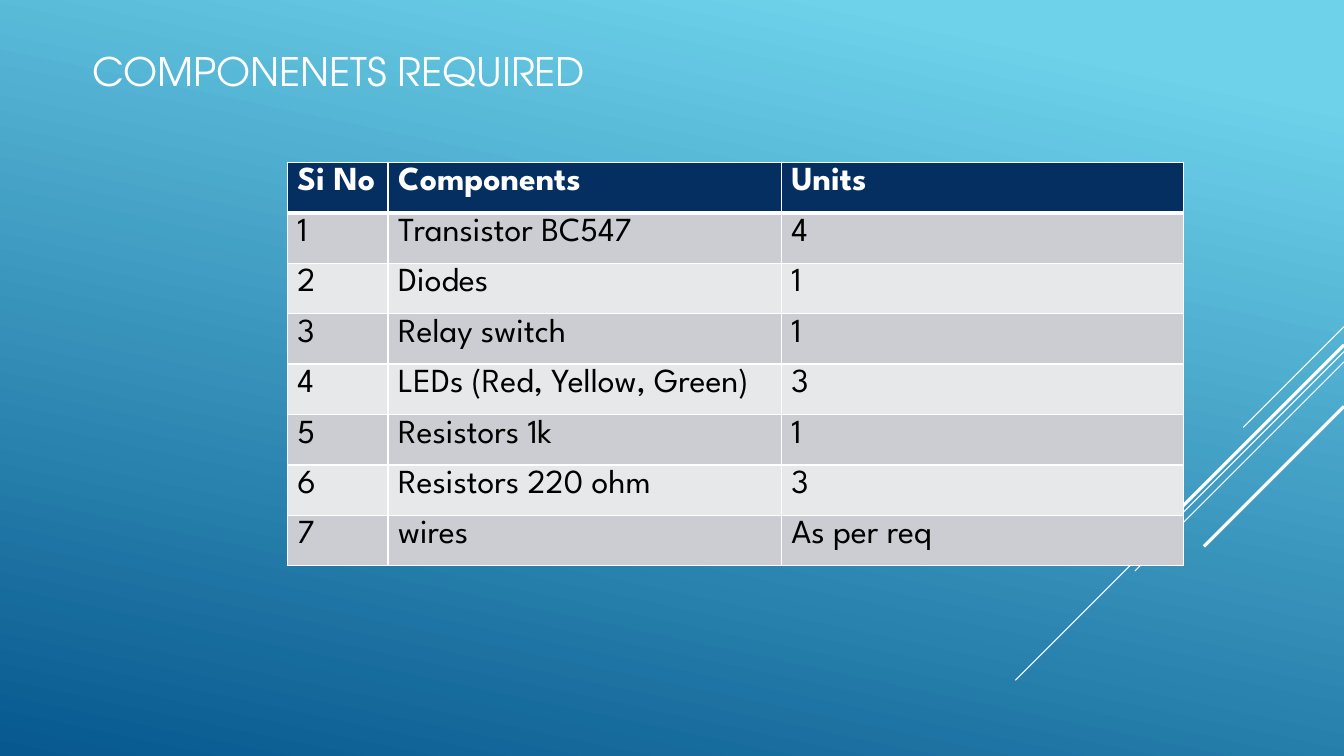
from dataclasses import dataclass

from lxml.etree import SubElement
from pptx import Presentation
from pptx.dml.color import RGBColor
from pptx.enum.text import MSO_ANCHOR, MSO_AUTO_SIZE, PP_ALIGN
from pptx.enum.shapes import MSO_CONNECTOR
from pptx.oxml.ns import qn
from pptx.slide import Slide
from pptx.table import _Cell
from pptx.text.text import TextFrame
from pptx.util import Cm, Pt

WHITE = RGBColor(0xFF, 0xFF, 0xFF)
BLACK = RGBColor(0x00, 0x00, 0x00)
SKY = RGBColor(0x6E, 0xD2, 0xEB)
OCEAN = RGBColor(0x06, 0x58, 0x8E)
NAVY = RGBColor(0x05, 0x2F, 0x61)
BANDS = (RGBColor(0xCC, 0xCD, 0xD2), RGBColor(0xE7, 0xE8, 0xEA))

TITLE_FONT = "TeX Gyre Adventor"
TABLE_FONT = "League Spartan"
SLIDE_WIDTH, SLIDE_HEIGHT = 33.87, 19.05
ROW_HEIGHT = 1.27
COLUMN_WIDTHS = (2.54, 9.91, 10.13)


@dataclass(frozen=True)
class Ray:
    """A 45-degree line running down and left from the right slide edge, in cm."""
    top: float
    reach: float
    weight: float


@dataclass(frozen=True)
class Component:
    name: str
    units: str


RAYS = (
    Ray(8.23, 2.54, 0.75),
    Ray(8.86, 8.28, 0.75),
    Ray(9.12, 5.27, 0.75),
    Ray(8.69, 4.85, 2.25),
    Ray(10.24, 3.53, 2.25),
)

COMPONENTS = (
    Component("Transistor BC547", "4"),
    Component("Diodes", "1"),
    Component("Relay switch", "1"),
    Component("LEDs (Red, Yellow, Green)", "3"),
    Component("Resistors 1k", "1"),
    Component("Resistors 220 ohm", "3"),
    Component("wires", "As per req"),
)


def write_text(frame: TextFrame, text: str, *, font: str, size: float,
               color: RGBColor, bold: bool = False) -> None:
    paragraph = frame.paragraphs[0]
    paragraph.alignment = PP_ALIGN.LEFT
    run = paragraph.add_run()
    run.text = text
    run.font.name = font
    run.font.size = Pt(size)
    run.font.bold = bold
    run.font.color.rgb = color


def paint_background(slide: Slide) -> None:
    fill = slide.background.fill
    fill.gradient()
    fill.gradient_angle = 258
    for stop, color, position in zip(fill.gradient_stops, (SKY, OCEAN), (0.1, 1.0)):
        stop.color.rgb = color
        stop.position = position


def draw_ray(slide: Slide, ray: Ray) -> None:
    line = slide.shapes.add_connector(
        MSO_CONNECTOR.STRAIGHT, Cm(SLIDE_WIDTH), Cm(ray.top),
        Cm(SLIDE_WIDTH - ray.reach), Cm(ray.top + ray.reach))
    line.line.color.rgb = WHITE
    line.line.width = Pt(ray.weight)
    SubElement(line._element.spPr, qn("a:effectLst"))


def add_title(slide: Slide) -> None:
    title = slide.shapes.title
    title.left, title.top, title.width, title.height = Cm(2.08), Cm(1.07), Cm(14.05), Cm(1.45)
    frame = title.text_frame
    frame.word_wrap = False
    frame.auto_size = MSO_AUTO_SIZE.SHAPE_TO_FIT_TEXT
    frame.vertical_anchor = MSO_ANCHOR.MIDDLE
    write_text(frame, "COMPONENETS REQUIRED", font=TITLE_FONT, size=28, color=WHITE)


def set_borders(cell: _Cell, bottom: float) -> None:
    """Draw white cell edges, 1 pt except for the bottom one."""
    properties = cell._tc.get_or_add_tcPr()
    for edge, weight in (("lnL", 1), ("lnR", 1), ("lnT", 1), ("lnB", bottom)):
        border = SubElement(properties, qn(f"a:{edge}"), w=str(Pt(weight)))
        fill = SubElement(border, qn("a:solidFill"))
        SubElement(fill, qn("a:srgbClr"), val=str(WHITE))


def add_component_table(slide: Slide) -> None:
    rows = [("Si No", "Components", "Units")]
    rows += [(str(number), part.name, part.units)
             for number, part in enumerate(COMPONENTS, start=1)]
    table = slide.shapes.add_table(
        len(rows), len(COLUMN_WIDTHS), Cm(7.24), Cm(4.09),
        Cm(sum(COLUMN_WIDTHS)), Cm(ROW_HEIGHT * len(rows))).table
    for column, width in zip(table.columns, COLUMN_WIDTHS):
        column.width = Cm(width)
    for row_index, entries in enumerate(rows):
        table.rows[row_index].height = Cm(ROW_HEIGHT)
        header = row_index == 0
        for column_index, entry in enumerate(entries):
            cell = table.cell(row_index, column_index)
            set_borders(cell, bottom=3 if header else 1)
            cell.fill.solid()
            cell.fill.fore_color.rgb = NAVY if header else BANDS[(row_index - 1) % 2]
            write_text(cell.text_frame, entry, font=TABLE_FONT, size=24,
                       color=WHITE if header else BLACK, bold=header)


def main() -> None:
    presentation = Presentation()
    presentation.slide_width = Cm(SLIDE_WIDTH)
    presentation.slide_height = Cm(SLIDE_HEIGHT)
    slide = presentation.slides.add_slide(presentation.slide_layouts.get_by_name("Title Only"))
    paint_background(slide)
    for ray in RAYS:
        draw_ray(slide, ray)
    add_title(slide)
    add_component_table(slide)
    presentation.save("out.pptx")


if __name__ == "__main__":
    main()
